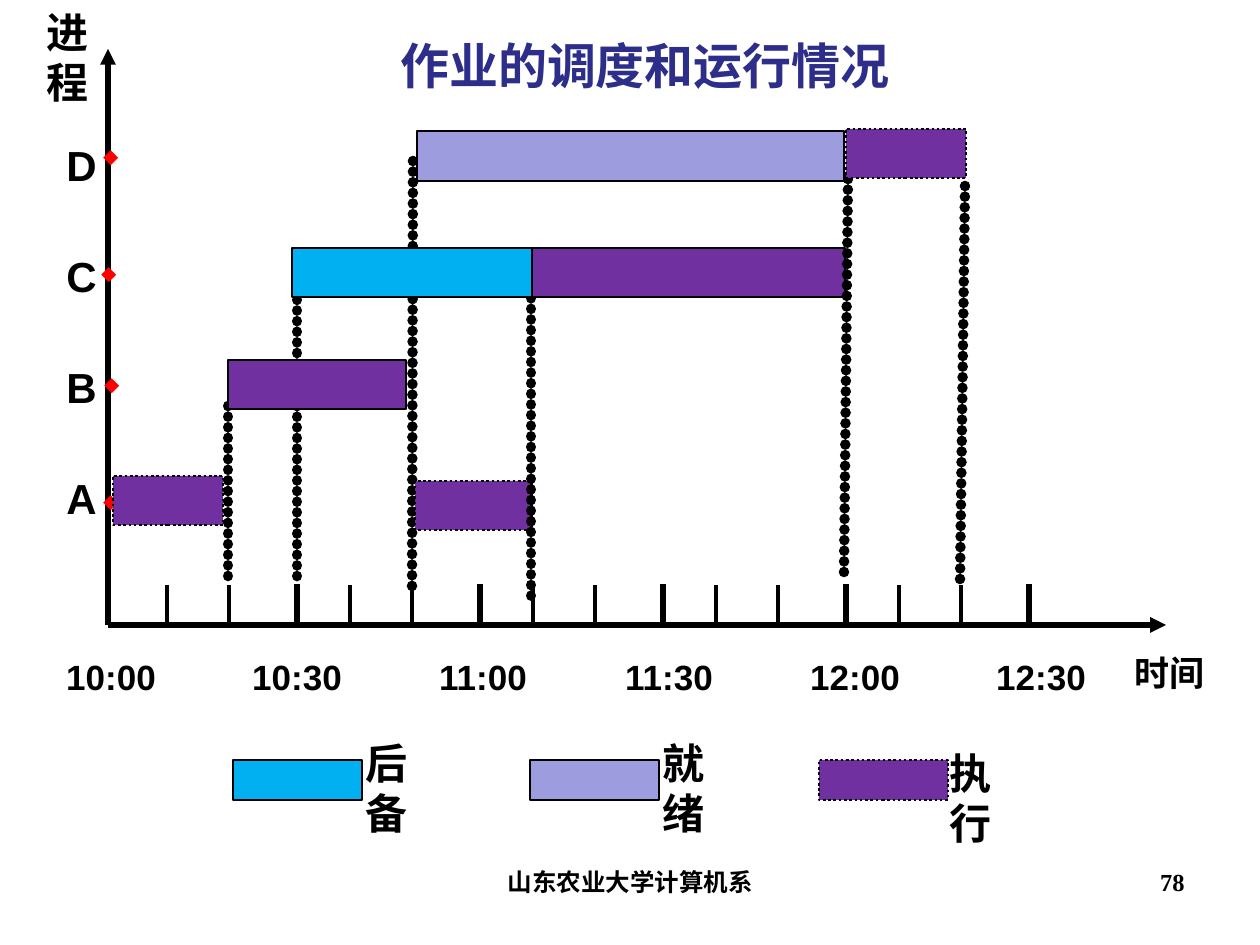
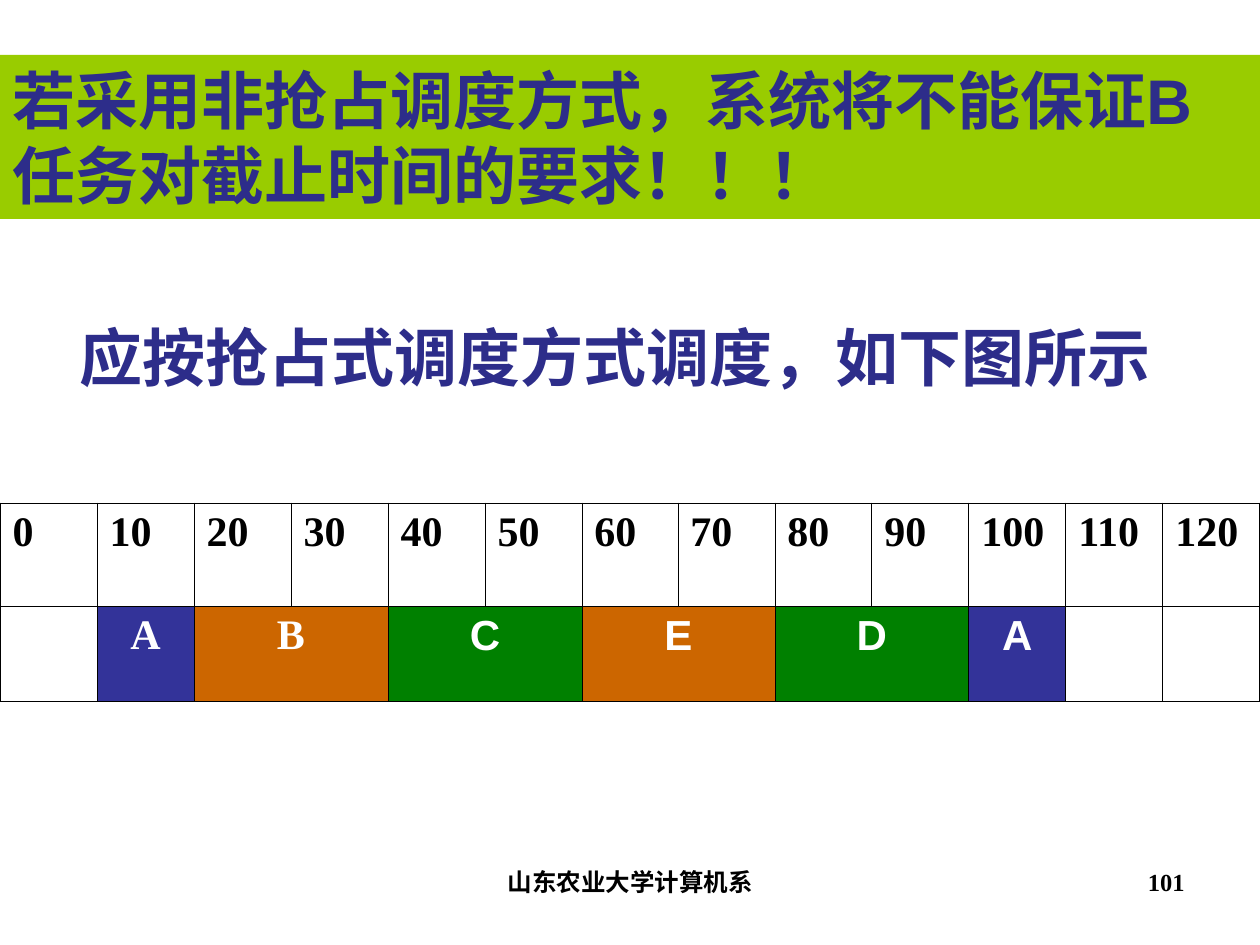
import pptx
import pptx.util
from lxml import etree
from pptx.dml.color import RGBColor
from pptx.enum.dml import MSO_LINE
from pptx.enum.shapes import MSO_CONNECTOR, MSO_SHAPE
from pptx.enum.text import MSO_ANCHOR, PP_ALIGN
from pptx.oxml.ns import qn

PX = 914400 / 126
BLACK = RGBColor(0x00, 0x00, 0x00)
WHITE = RGBColor(0xFF, 0xFF, 0xFF)
RED = RGBColor(0xFF, 0x00, 0x00)
NAVY = RGBColor(0x2D, 0x2D, 0x8A)
LIME = RGBColor(0x99, 0xCC, 0x00)
PURPLE = RGBColor(0x70, 0x30, 0xA0)
SKY = RGBColor(0x00, 0xB0, 0xF0)
LILAC = RGBColor(0x9C, 0x9C, 0xDF)
INDIGO = RGBColor(0x33, 0x33, 0x99)
ORANGE = RGBColor(0xCC, 0x66, 0x00)
GREEN = RGBColor(0x00, 0x80, 0x00)

SANS = "Arial"
SERIF = "Times New Roman"
CJK = "Noto Sans CJK SC"
LEFT, CENTER, RIGHT = PP_ALIGN.LEFT, PP_ALIGN.CENTER, PP_ALIGN.RIGHT
FOOTER = "山东农业大学计算机系"


def emu(px):
    return pptx.util.Emu(round(px * PX))


class Deck:
    def __init__(self):
        self.presentation = pptx.Presentation()
        self.presentation.slide_width = emu(1260)
        self.presentation.slide_height = emu(945)
        self.slide = None

    def new_slide(self, number):
        self.slide = self.presentation.slides.add_slide(self.presentation.slide_layouts[6])
        self.text(FOOTER, 431, 861, 399, 66, 14, font=SERIF, align=CENTER)
        self.text(str(number), 903, 861, 294, 66, 14, font=SERIF, align=RIGHT)

    def fill_frame(self, frame, text, size, font=SANS, color=BLACK, align=LEFT):
        frame.text = text
        paragraph = frame.paragraphs[0]
        paragraph.alignment = align
        paragraph.font.name = font
        paragraph.font.size = pptx.util.Pt(size)
        paragraph.font.bold = True
        paragraph.font.color.rgb = color

    def text(self, text, left, top, width, height, size, wrap=True, **style):
        box = self.slide.shapes.add_textbox(emu(left), emu(top), emu(width), emu(height))
        box.text_frame.word_wrap = wrap
        self.fill_frame(box.text_frame, text, size, **style)

    def box(self, left, top, width, height, fill, outlined=True, dotted=False):
        shape = self.slide.shapes.add_shape(
            MSO_SHAPE.RECTANGLE, emu(left), emu(top), emu(width), emu(height))
        shape.shadow.inherit = False
        shape.fill.solid()
        shape.fill.fore_color.rgb = fill
        if outlined:
            shape.line.color.rgb = BLACK
            shape.line.width = pptx.util.Pt(1.5)
            if dotted:
                shape.line.dash_style = MSO_LINE.ROUND_DOT
        else:
            shape.line.fill.background()
        return shape

    def line(self, x1, y1, x2, y2, width, color=BLACK):
        connector = self.slide.shapes.add_connector(
            MSO_CONNECTOR.STRAIGHT, emu(x1), emu(y1), emu(x2), emu(y2))
        connector.line.color.rgb = color
        connector.line.width = pptx.util.Pt(width)
        etree.SubElement(connector.get_or_add_ln().getparent(), qn("a:effectLst"))
        return connector

    def arrow(self, x1, y1, x2, y2):
        connector = self.line(x1, y1, x2, y2, 3)
        etree.SubElement(connector.get_or_add_ln(), qn("a:tailEnd"), type="triangle")

    def guide(self, x1, y1, x2, y2):
        """Line of touching round dots."""
        properties = self.line(x1, y1, x2, y2, 6).get_or_add_ln()
        properties.set("cap", "rnd")
        dashes = etree.SubElement(properties, qn("a:custDash"))
        etree.SubElement(dashes, qn("a:ds"), d="100000", sp="1000")

    def marker(self, x, y):
        connector = self.line(x, y, x + 10, y + 10, 6, RED)
        connector.line.dash_style = MSO_LINE.ROUND_DOT

    def cell(self, cell, fill, text="", **style):
        if fill is None:
            cell.fill.background()
        else:
            cell.fill.solid()
            cell.fill.fore_color.rgb = fill
        cell.margin_left = cell.margin_right = pptx.util.Inches(0.1)
        cell.margin_top = cell.margin_bottom = pptx.util.Inches(0.05)
        cell.vertical_anchor = MSO_ANCHOR.TOP
        self.fill_frame(cell.text_frame, text, 24, **style)
        properties = cell._tc.get_or_add_tcPr()
        for index, side in enumerate(("lnL", "lnR", "lnT", "lnB")):
            border = etree.Element(qn(f"a:{side}"), w=str(int(pptx.util.Pt(0.45))))
            border_fill = etree.SubElement(border, qn("a:solidFill"))
            etree.SubElement(border_fill, qn("a:srgbClr"), val=str(BLACK))
            properties.insert(index, border)


def draw_axes(deck):
    deck.arrow(108, 625, 1166, 625)
    deck.arrow(108, 625, 108, 49)
    for index, label in enumerate(("10:00", "10:30", "11:00", "11:30", "12:00", "12:30")):
        deck.text(label, 51 + 186 * index, 649, 120, 53, 20, align=CENTER)
    deck.text("时间", 1110, 645, 120, 63, 20, align=CENTER)
    for half_hour in range(114, 1030, 183):
        if half_hour > 114:
            deck.line(half_hour, 584, half_hour, 624, 3)
        if half_hour < 1029:
            for offset in (53, 115):
                deck.line(half_hour + offset, 585, half_hour + offset, 625, 2.25)
    for x, y in ((107, 499), (108, 382), (105, 271), (107, 154)):
        deck.marker(x, y)
    deck.text("进程", 34, 0, 99, 113, 24)
    for index, process in enumerate("DCBA"):
        deck.text(process, 34, 133 + 111 * index, 75, 61, 24, align=RIGHT)


def draw_schedule(deck):
    """Bars and guides alternate so that each covers the ones before it."""
    deck.box(113, 476, 110, 49, PURPLE, dotted=True)
    deck.guide(228, 406, 228, 585)
    deck.guide(413, 161, 412, 596)
    deck.box(415, 481, 117, 49, PURPLE, dotted=True)
    deck.guide(531, 277, 531, 596)
    deck.box(531, 248, 314, 49, PURPLE)
    deck.guide(848, 179, 844, 576)
    deck.box(846, 129, 120, 49, PURPLE, dotted=True)
    deck.guide(965, 186, 960, 583)
    deck.guide(297, 268, 297, 586)
    deck.box(292, 248, 240, 49, SKY)
    deck.box(417, 131, 427, 50, LILAC)
    deck.box(228, 360, 178, 49, PURPLE)


def draw_legend(deck):
    for left, fill, label, label_left, label_top in (
            (233, SKY, "后备", 353, 731),
            (530, LILAC, "就绪", 650, 731),
            (819, PURPLE, "执行", 937, 741)):
        deck.box(left, 760, 129, 40, fill, dotted=fill == PURPLE)
        deck.text(label, label_left, label_top, 99, 113, 24)


def draw_preemptive_table(deck):
    columns = 13
    table = deck.slide.shapes.add_table(2, columns, 0, emu(503), emu(1260), emu(198)).table
    table.first_row = table.horz_banding = False
    edges = [round(1260 * index / columns) for index in range(columns + 1)]
    for index, column in enumerate(table.columns):
        column.width = emu(edges[index + 1] - edges[index])
        deck.cell(table.cell(0, index), None, str(10 * index), font=SERIF)
        deck.cell(table.cell(1, index), WHITE)
    table.rows[0].height, table.rows[1].height = emu(103), emu(95)

    for start, task, span, fill, font in (
            (1, "A", 1, INDIGO, SERIF), (2, "B", 2, ORANGE, SERIF),
            (4, "C", 2, GREEN, SANS), (6, "E", 2, ORANGE, SANS),
            (8, "D", 2, GREEN, SANS), (10, "A", 1, INDIGO, SANS)):
        first = table.cell(1, start)
        if span > 1:
            first.merge(table.cell(1, start + span - 1))
        first.fill.fore_color.rgb = fill
        deck.fill_frame(first.text_frame, task, 24, font=font, color=WHITE, align=CENTER)


def main():
    deck = Deck()

    deck.new_slide(78)
    draw_axes(deck)
    draw_schedule(deck)
    draw_legend(deck)
    deck.text("作业的调度和运行情况", 184, 29, 922, 72, 28, color=NAVY, align=CENTER)

    deck.new_slide(101)
    draw_preemptive_table(deck)
    banner = deck.box(0, 55, 1260, 164, LIME, outlined=False)
    banner.text_frame.word_wrap = True
    banner.text_frame.vertical_anchor = MSO_ANCHOR.TOP
    deck.fill_frame(banner.text_frame,
                    "若采用非抢占调度方式，系统将不能保证B任务对截止时间的要求！！！",
                    36, color=NAVY)
    deck.text("应按抢占式调度方式调度，如下图所示", 67, 312, 1096, 88, 36,
              wrap=False, font=CJK, color=NAVY)

    deck.presentation.save("out.pptx")


if __name__ == "__main__":
    main()
